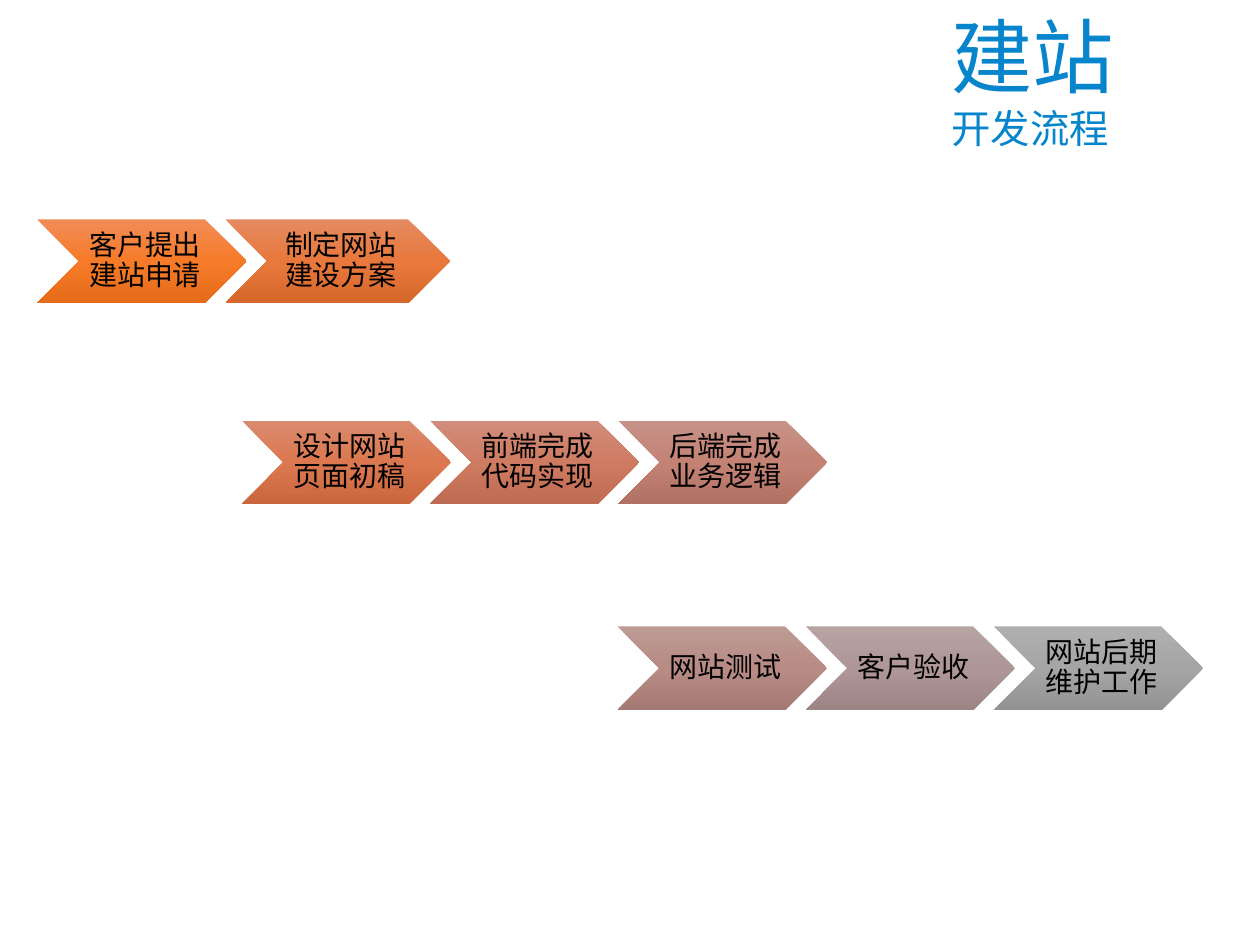
from copy import deepcopy

from lxml import etree
from pptx import Presentation
from pptx.dml.color import RGBColor
from pptx.enum import shapes, text
from pptx.oxml import ns
from pptx.util import Pt

FONT = "Noto Sans CJK JP"
INK = {"title": "0685CC", "step": "000000"}
FILLS = {
    "客户提出建站申请": ("F18C57", "F67B28", "E56C19"),
    "制定网站建设方案": ("E58A61", "E8783C", "D7682C"),
    "设计网站页面初稿": ("DA8A6E", "DB7850", "CA673F"),
    "前端完成代码实现": ("D08D7B", "CF7B62", "BD6B52"),
    "后端完成业务逻辑": ("C79288", "C38274", "B17163"),
    "网站测试": ("BE9A95", "B88B85", "A67A74"),
    "客户验收": ("B6A4A2", "AE9796", "9C8584"),
    "网站后期维护工作": ("AFAFAF", "A5A5A5", "939393"),
}
# left, top and steps of each row
ROWS = [
    (21.4, 125.4, ["客户提出建站申请", "制定网站建设方案"]),
    (138.2, 240.3, ["设计网站页面初稿", "前端完成代码实现", "后端完成业务逻辑"]),
    (353, 358, ["网站测试", "客户验收", "网站后期维护工作"]),
]
WIDE = {"制定网站建设方案": 128.2}
STEP_W, STEP_H, PITCH = 119.5, 47.7, 107.5


def write(par, words, size, color, align=text.PP_ALIGN.LEFT, space=1.0):
    par.alignment = align
    par.line_spacing = space
    run = par.add_run()
    run.text = words
    run.font.size = Pt(size)
    run.font.name = FONT
    run.font.color.rgb = RGBColor.from_string(color)
    east = etree.SubElement(run.font._element, ns.qn("a:ea"))
    east.set("typeface", FONT)


def shade(fill, colors):
    """Fill with an even gradient that runs from top to bottom."""
    fill.gradient()
    fill.gradient_angle = 270
    first = fill.gradient_stops[0]._gs
    first.addnext(deepcopy(first))
    for i, (stop, color) in enumerate(zip(fill.gradient_stops, colors)):
        stop.position = i / 2
        stop.color.rgb = RGBColor.from_string(color)


deck = Presentation()
deck.slide_width, deck.slide_height = Pt(720), Pt(540)
slide = deck.slides.add_slide(deck.slide_layouts[5])

for left, top, steps in ROWS:
    for i, step in enumerate(steps):
        arrow = slide.shapes.add_shape(
            shapes.MSO_SHAPE.CHEVRON, Pt(left + i * PITCH), Pt(top),
            Pt(WIDE.get(step, STEP_W)), Pt(STEP_H))
        arrow.shadow.inherit = False
        arrow.line.fill.background()
        shade(arrow.fill, FILLS[step])
        frame = arrow.text_frame
        frame.word_wrap = True
        frame.vertical_anchor = text.MSO_ANCHOR.MIDDLE
        frame.margin_left = Pt(5)
        frame.margin_right = frame.margin_top = frame.margin_bottom = Pt(1.4)
        write(frame.paragraphs[0], step, 16, INK["step"],
              align=text.PP_ALIGN.CENTER, space=0.9)

title = slide.shapes.title
title.left, title.top = Pt(536.4), Pt(0)
title.width, title.height = Pt(113), Pt(90.7)
frame = title.text_frame
frame.word_wrap = True
frame.auto_size = text.MSO_AUTO_SIZE.SHAPE_TO_FIT_TEXT
frame.vertical_anchor = text.MSO_ANCHOR.TOP
write(frame.paragraphs[0], "建站", 46.4, INK["title"])
write(frame.add_paragraph(), "开发流程", 22.5, INK["title"])

deck.save("out.pptx")
